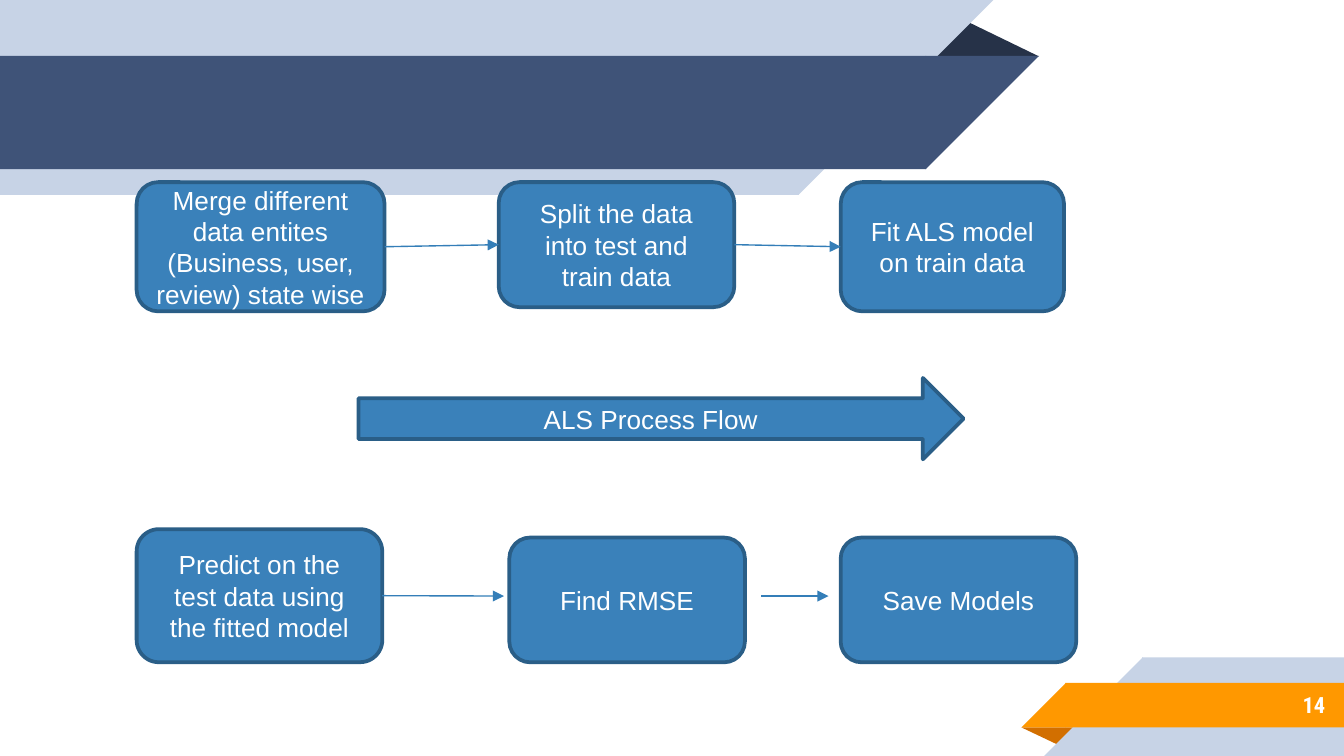
from dataclasses import dataclass

from lxml.etree import SubElement
from pptx import Presentation
from pptx.dml.color import RGBColor
from pptx.enum.shapes import MSO_CONNECTOR as Connector, MSO_SHAPE as Shape
from pptx.enum.text import MSO_ANCHOR as Anchor, PP_ALIGN as Align
from pptx.oxml.ns import qn
from pptx.util import Pt


@dataclass(frozen=True)
class Theme:
    pale: str = "C7D3E6"
    navy: str = "3F5378"
    navy_fold: str = "263248"
    orange: str = "FF9800"
    orange_fold: str = "D26F00"
    step: str = "3A81BA"
    step_line: str = "2A5E87"
    link: str = "347EB8"
    text: str = "FFFFFF"
    body_font: str = "Arial"
    body_size: float = 14
    number_font: str = "Roboto Condensed"
    number_size: float = 12
    outline: float = 2
    link_width: float = 0.75


THEME = Theme()
SLIDE_WIDTH, SLIDE_HEIGHT = 720, 405
SEAM_OVERLAP = 0.3


def color(value):
    return RGBColor.from_string(value)


def add_shape(slide, kind, box, fill, line=None):
    shape = slide.shapes.add_shape(kind, *map(Pt, box))
    shape.shadow.inherit = False
    shape.fill.solid()
    shape.fill.fore_color.rgb = color(fill)
    if line:
        shape.line.color.rgb = color(line)
        shape.line.width = Pt(THEME.outline)
    else:
        shape.line.fill.background()
    return shape


def write(shape, text, font, size, align, bold=False):
    frame = shape.text_frame
    frame.word_wrap = True
    frame.vertical_anchor = Anchor.MIDDLE
    paragraph = frame.paragraphs[0]
    paragraph.text = text
    paragraph.alignment = align
    paragraph.font.name = font
    paragraph.font.size = Pt(size)
    paragraph.font.bold = bold
    paragraph.font.color.rgb = color(THEME.text)


def add_label_shape(slide, kind, box, text):
    shape = add_shape(slide, kind, box, THEME.step, THEME.step_line)
    write(shape, text, THEME.body_font, THEME.body_size, Align.CENTER)
    shape.text_frame.margin_left = shape.text_frame.margin_right = Pt(6.5)
    return shape


def add_band(slide, box, fill, slant_right):
    """Bar whose slanted end is a square right triangle."""
    left, top, width, height = box
    bar_left = left if slant_right else left + height - SEAM_OVERLAP
    bar_width = width - height + SEAM_OVERLAP
    tip_left = left + width - height if slant_right else left
    add_shape(slide, Shape.RECTANGLE, (bar_left, top, bar_width, height), fill)
    tip = add_shape(slide, Shape.RIGHT_TRIANGLE, (tip_left, top, height, height), fill)
    tip.rotation = 90 if slant_right else 270


def add_fold(slide, box, fill, rotation=0):
    fold = add_shape(slide, Shape.ISOSCELES_TRIANGLE, box, fill)
    fold.adjustments[0] = 0.32
    fold.rotation = rotation


def add_title_ribbon(slide, box):
    left, top, width, height = box
    add_fold(slide, (left + width - 61.2, top + 10, 61.2, 20.2), THEME.navy_fold)
    add_band(slide, (left, top, width - 24.4, height), THEME.pale, True)
    add_band(slide, (left, top + 30, width, 60.7), THEME.navy, True)


def add_number_ribbon(slide, box, number):
    left, top, width, height = box
    bar_top, bar_height = top + 13.7, 23.8
    add_fold(slide, (left, bar_top + bar_height, 31, 10), THEME.orange_fold, 180)
    add_band(slide, (left + 12.2, top, width - 12.2, height), THEME.pale, False)
    add_band(slide, (left, bar_top, width, bar_height), THEME.orange, False)
    label = slide.shapes.add_textbox(
        Pt(left + 52.4), Pt(bar_top - 1), Pt(117.4), Pt(25.2))
    write(label, number, THEME.number_font, THEME.number_size, Align.RIGHT, True)


def add_link(slide, first, second, level, start_gap, end_gap):
    """Arrow between two steps; an end without a gap is joined to its step."""
    link = slide.shapes.add_connector(
        Connector.STRAIGHT,
        first.left + first.width + Pt(start_gap), Pt(level),
        second.left - Pt(end_gap), Pt(level))
    if not start_gap:
        link.begin_connect(first, 3)
    if not end_gap:
        link.end_connect(second, 1)
    link.line.color.rgb = color(THEME.link)
    link.line.width = Pt(THEME.link_width)
    line = link._element.spPr.find(qn("a:ln"))
    SubElement(line, qn("a:tailEnd"), type="triangle")
    SubElement(link._element.spPr, qn("a:effectLst"))


def add_step_row(slide, box, steps, gaps):
    """Steps are (text, x, y, width, height), measured from the row's corner."""
    left, top, _, row_height = box
    shapes = [
        add_label_shape(slide, Shape.ROUNDED_RECTANGLE,
                        (left + x, top + y, width, height), text)
        for text, x, y, width, height in steps
    ]
    level = top + row_height / 2 + 0.2
    for first, second, (start_gap, end_gap) in zip(shapes, shapes[1:], gaps):
        add_link(slide, first, second, level, start_gap, end_gap)


def add_flow_arrow(slide, box, text):
    add_label_shape(slide, Shape.RIGHT_ARROW, box, text)


def main():
    presentation = Presentation()
    presentation.slide_width = Pt(SLIDE_WIDTH)
    presentation.slide_height = Pt(SLIDE_HEIGHT)
    slide = presentation.slides.add_slide(presentation.slide_layouts[6])

    # Ribbons
    add_title_ribbon(slide, (0, 0, 556.6, 104.4))
    add_number_ribbon(slide, (547.2, 352.2, 172.8, 52.8), "14")

    # Preparing and fitting
    add_step_row(slide, (73.2, 97.6, 496.8, 69.2), [
        ("Merge different data entites (Business, user, review) state wise",
         0, 0, 132.8, 69.2),
        ("Split the data into test and train data", 194, 0, 126.2, 67),
        ("Fit ALS model on train data", 377.2, 0, 119.6, 69.2),
    ], [(0, 0), (0, 0)])

    # Direction of the process
    add_flow_arrow(slide, (192, 202.5, 324.2, 43.6), "ALS Process Flow")

    # Predicting and saving
    add_step_row(slide, (73.2, 283.5, 503.4, 71.3), [
        ("Predict on the test data using the fitted model", 0, 0, 131.6, 71.3),
        ("Find RMSE", 199.7, 4.5, 126.2, 66.8),
        ("Save Models", 377.2, 4.5, 126.2, 66.8),
    ], [(0, 2.9), (8.6, 6.5)])

    presentation.save("out.pptx")


if __name__ == "__main__":
    main()
